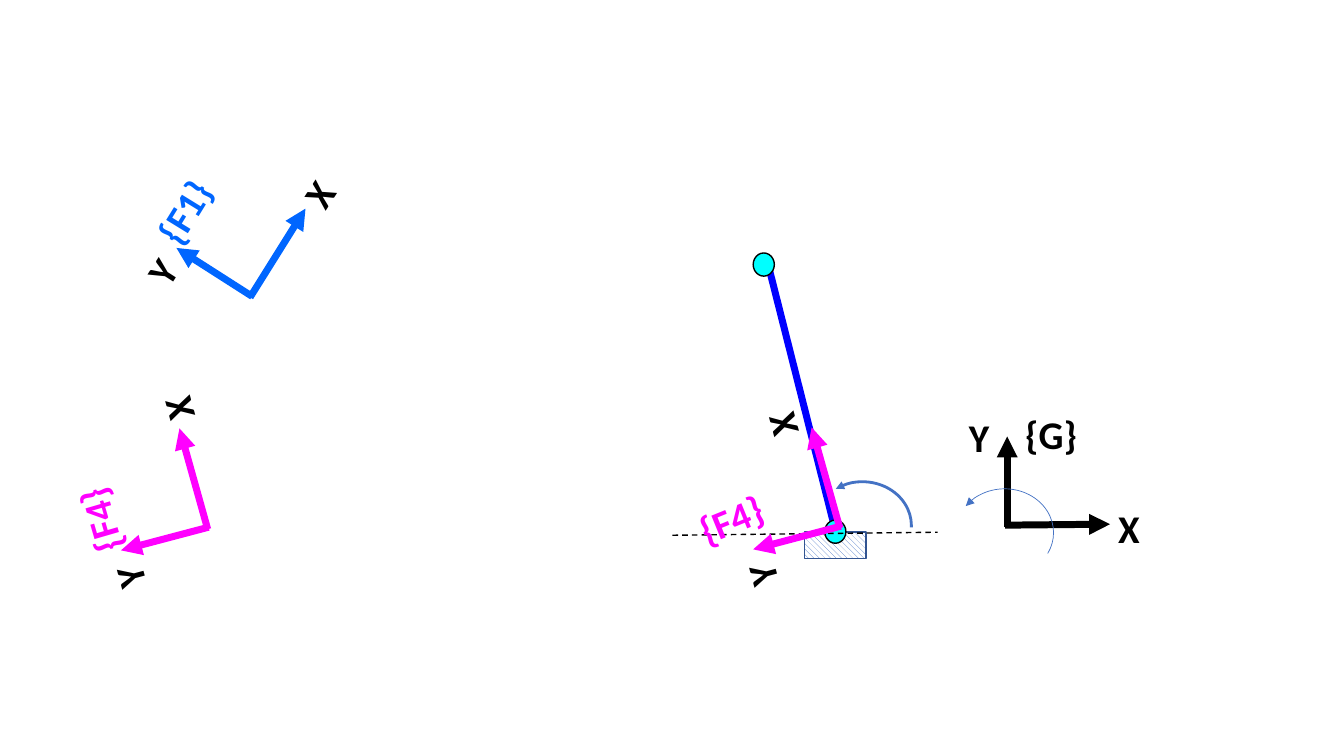
from pptx import Presentation
from pptx import util as u
from pptx.dml.color import RGBColor
from pptx.enum import dml, shapes, text
from pptx.oxml.ns import qn
from lxml import etree

BLACK = RGBColor(0, 0, 0)
WHITE = RGBColor(0xFF, 0xFF, 0xFF)
AZURE = RGBColor(0x00, 0x66, 0xFF)
PINK = RGBColor(0xFF, 0x00, 0xFF)
NAVY = RGBColor(0x00, 0x00, 0xFF)
CYAN = RGBColor(0x00, 0xFF, 0xFF)
STEEL = RGBColor(0x44, 0x72, 0xC4)
EDGE = RGBColor(0x32, 0x54, 0x91)


def stroke(item, color, width, end=None):
    """Set an outline, with a triangle at headEnd or tailEnd if asked."""
    item.line.color.rgb = color
    item.line.width = u.Pt(width)
    if end:
        ln = item.line._get_or_add_ln()
        etree.SubElement(ln, qn("a:" + end)).set("type", "triangle")


def line(area, start, stop, color, width, end=None):
    """Draw a straight line between two points in inches."""
    pts = [u.Inches(v) for v in (*start, *stop)]
    item = area.add_connector(shapes.MSO_CONNECTOR.STRAIGHT, *pts)
    stroke(item, color, width, end)
    etree.SubElement(item._element.spPr, qn("a:effectLst"))
    return item


def shape(area, kind, box):
    """Add a preset shape without a shadow."""
    item = area.add_shape(kind, *[u.Inches(v) for v in box])
    item.shadow.inherit = False
    return item


def arc(area, box, turns, width):
    """Draw a turning arrow whose head is at the start of the arc."""
    item = shape(area, shapes.MSO_SHAPE.ARC, box)
    item.adjustments[0], item.adjustments[1] = turns
    item.fill.background()
    stroke(item, STEEL, width, "headEnd")


def label(area, words, box, color, turn):
    """Write one bold label, turned clockwise by degrees."""
    item = area.add_textbox(*[u.Inches(v) for v in box])
    item.rotation = turn
    frame = item.text_frame
    frame.word_wrap = False
    frame.auto_size = text.MSO_AUTO_SIZE.SHAPE_TO_FIT_TEXT
    run = frame.paragraphs[0].add_run()
    run.text = words
    font = run.font
    font.name, font.size, font.bold = "Calibri", u.Pt(28), True
    font.color.rgb = color


def triad(slide, origin, axes, marks, color):
    """Draw a pair of axes and its labels, all relative to the origin."""
    area = slide.shapes.add_group_shape().shapes
    left, top = origin
    for x1, y1, x2, y2 in axes:
        line(area, (left + x1, top + y1), (left + x2, top + y2),
             color, 5, "tailEnd")
    for words, x, y, wide, turn in marks:
        tint = color if words[0] == "{" else BLACK
        label(area, words, (left + x, top + y, wide, 0.57), tint, turn)
    return area


def crank(slide, box):
    """Draw the hinged link, its ground block and its angle."""
    left, top, wide, high = box
    area = slide.shapes
    base = left + 0.82, top + 2.77
    block = shape(area, shapes.MSO_SHAPE.RECTANGLE,
                  (base[0] - 0.31, base[1], 0.61, 0.26))
    block.fill.patterned()
    block.fill.pattern = dml.MSO_PATTERN.WIDE_DOWNWARD_DIAGONAL
    block.fill.fore_color.rgb = STEEL
    block.fill.back_color.rgb = WHITE
    stroke(block, EDGE, 1)
    line(area, base, (left + 0.15, top + 0.12), NAVY, 5)
    for x, y in ((left, top), (left + 0.71, top + 2.65)):
        pin = shape(area, shapes.MSO_SHAPE.OVAL, (x, y, 0.21, 0.23))
        pin.fill.solid()
        pin.fill.fore_color.rgb = CYAN
        stroke(pin, BLACK, 1)
    level = line(area, (left - 0.8, top + 2.8), (left + 1.83, base[1]),
                 BLACK, 1)
    level.line.dash_style = dml.MSO_LINE.DASH
    arc(area, (left + 0.6, top + high - 0.76, 0.97, 0.87),
        (140.377, 1.207), 2)


def ground(slide, origin):
    """Draw the fixed axes with their turning arrow."""
    axes = ((-0.02, 0, 1.02, -0.01), (0, 0.02, 0, -0.88))
    marks = (("X", 1, -0.26, 0.42, 0), ("Y", -0.48, -1.16, 0.42, 0),
             ("{G}", 0.08, -1.19, 0.72, 0))
    area = triad(slide, origin, axes, marks, BLACK)
    arc(area, (origin[0] - 0.51, origin[1] - 0.36, 0.97, 0.87),
        (128.635, 15.412), 0.5)


def main():
    """Build the slide and save it."""
    deck = Presentation()
    deck.slide_width, deck.slide_height = u.Inches(13.33), u.Inches(7.5)
    slide = deck.slides.add_slide(deck.slide_layouts[6])
    crank(slide, (7.47, 2.51, 1.12, 3.03))
    ground(slide, (9.99, 5.21))
    triad(slide, (2.48, 2.95),
          ((0, 0, 0.55, -0.88), (0.02, -0.01, -0.73, -0.49)),
          (("X", 0.47, -1.31, 0.42, 302.7), ("Y", -1.08, -0.55, 0.42, 302.7),
           ("{F1}", -1.08, -1.14, 0.85, 301.6)), AZURE)
    tilt = ((0, 0, -0.28, -1), (0.01, -0.02, -0.86, 0.21))
    triad(slide, (2.06, 5.25), tilt,
          (("X", -0.51, -1.48, 0.42, 254.9), ("Y", -0.99, 0.19, 0.42, 254.9),
           ("{F4}", -1.5, -0.37, 0.85, 253.8)), PINK)
    triad(slide, (8.33, 5.24), tilt,
          (("X", -0.79, -1.31, 0.42, 254.9), ("Y", -0.99, 0.18, 0.42, 254.9),
           ("{F4}", -1.5, -0.38, 0.85, 337.9)), PINK)
    deck.save("out.pptx")


if __name__ == "__main__":
    main()
